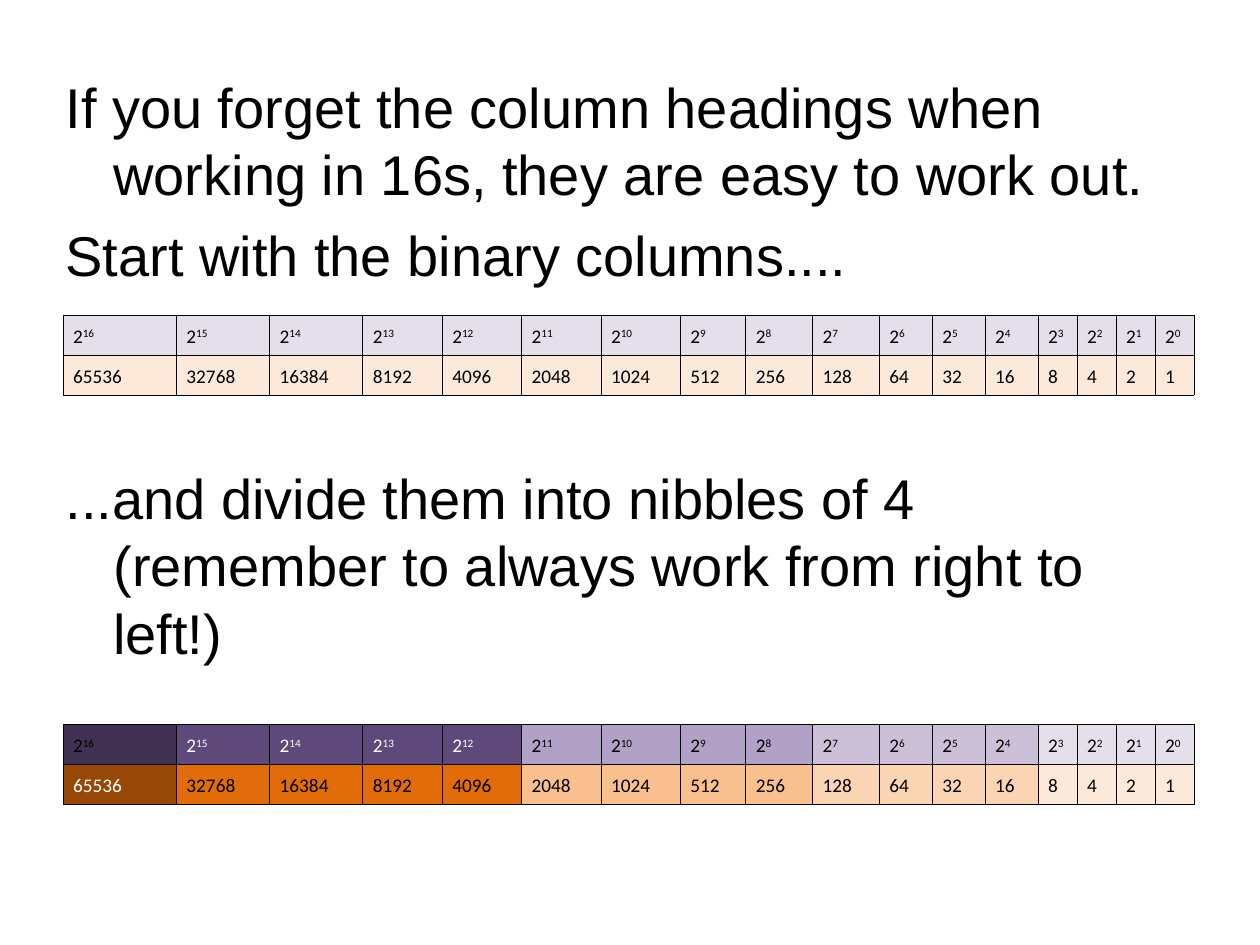
from lxml.etree import SubElement
from pptx import Presentation
from pptx.dml.color import RGBColor as Rgb
from pptx.enum.text import MSO_ANCHOR as Anchor, MSO_AUTO_SIZE as AutoSize, PP_ALIGN as Align
from pptx.oxml.ns import qn
from pptx.util import Inches, Pt

COLOURS = {"black": "000000", "white": "FFFFFF"}
# One shade per nibble, lowest powers first
POWER_SHADES = ["E5DFEC", "CCC0D9", "B2A1C7", "5F497A", "403152"]
VALUE_SHADES = ["FDE9D9", "FBD4B4", "FABF8F", "E36C0A", "984806"]
WHITE_POWER_NIBBLE, WHITE_VALUE_NIBBLE = 3, 4

POWERS = range(16, -1, -1)
COLUMN_WIDTHS = [0.9] + [0.74] * 2 + [0.63] * 4 + [0.52] + [0.53] * 2 + [0.42] * 3 + [0.31] * 4
ROW_HEIGHT = 0.21

# Text and the space before it, in points
STATEMENTS = [
    ("If you forget the column headings when working in 16s, they are easy to work out.", 0),
    ("Start with the binary columns....", 8),
    ("...and divide them into nibbles of 4 (remember to always work from right to left!)", 100.6),
]


def add_statements(body, left, top, width, height):
    body.left, body.top = Inches(left), Inches(top)
    body.width, body.height = Inches(width), Inches(height)
    frame = body.text_frame
    frame.word_wrap = True
    frame.auto_size = AutoSize.NONE
    frame.vertical_anchor = Anchor.TOP
    frame.margin_top = Inches(0.08)
    for index, (text, space) in enumerate(STATEMENTS):
        para = frame.paragraphs[0] if index == 0 else frame.add_paragraph()
        properties = para._p.get_or_add_pPr()
        properties.set("marL", str(Inches(0.38)))
        properties.set("indent", str(-Inches(0.38)))
        SubElement(properties, qn("a:buNone"))
        para.alignment = Align.LEFT
        para.line_spacing = Pt(38.3)
        para.space_before = Pt(space)
        add_span(para, text, "Arial", 32, "black")


def add_span(para, text, font, size, colour):
    span = para.add_run()
    span.text = text
    span.font.name = font
    span.font.size = Pt(size)
    span.font.color.rgb = Rgb.from_string(COLOURS[colour])
    return span


def add_borders(cell):
    properties = cell._tc.get_or_add_tcPr()
    for side in ("lnL", "lnR", "lnT", "lnB"):
        line = SubElement(properties, qn(f"a:{side}"), w=str(Pt(0.45)))
        fill = SubElement(line, qn("a:solidFill"))
        SubElement(fill, qn("a:srgbClr"), val=COLOURS["black"])


def fill_cell(cell, shade, colour, text, exponent=None):
    cell.margin_left = cell.margin_right = Inches(0.08)
    cell.margin_top = cell.margin_bottom = Inches(0.05)
    add_borders(cell)
    cell.fill.solid()
    cell.fill.fore_color.rgb = Rgb.from_string(shade)
    para = cell.text_frame.paragraphs[0]
    para.line_spacing = 1.15
    add_span(para, text, "Calibri", 11, colour)
    if exponent is not None:
        span = add_span(para, str(exponent), "Calibri", 11, colour)
        span._r.get_or_add_rPr().set("baseline", "30000")


def add_binary_table(page, left, top, by_nibble):
    """Powers of two over their values, shaded evenly or nibble by nibble."""
    table = page.shapes.add_table(
        2, len(POWERS), Inches(left), Inches(top),
        Inches(sum(COLUMN_WIDTHS)), Inches(2 * ROW_HEIGHT)).table
    table.first_row = table.horz_banding = False
    for row in table.rows:
        row.height = Inches(ROW_HEIGHT)
    for index, power in enumerate(POWERS):
        table.columns[index].width = Inches(COLUMN_WIDTHS[index])
        nibble = power // 4 if by_nibble else 0
        power_colour = "white" if nibble == WHITE_POWER_NIBBLE else "black"
        value_colour = "white" if nibble == WHITE_VALUE_NIBBLE else "black"
        fill_cell(table.cell(0, index), POWER_SHADES[nibble], power_colour, "2", power)
        fill_cell(table.cell(1, index), VALUE_SHADES[nibble], value_colour, str(2 ** power))


def main():
    deck = Presentation()
    deck.slide_width, deck.slide_height = Inches(10), Inches(7.5)
    page = deck.slides.add_slide(deck.slide_layouts[1])
    title = page.shapes.title._element
    title.getparent().remove(title)
    add_statements(page.placeholders[1], 0.42, 0.5, 9, 6.2)
    add_binary_table(page, 0.5, 2.5, by_nibble=False)
    add_binary_table(page, 0.5, 5.75, by_nibble=True)
    deck.save("out.pptx")


if __name__ == "__main__":
    main()
